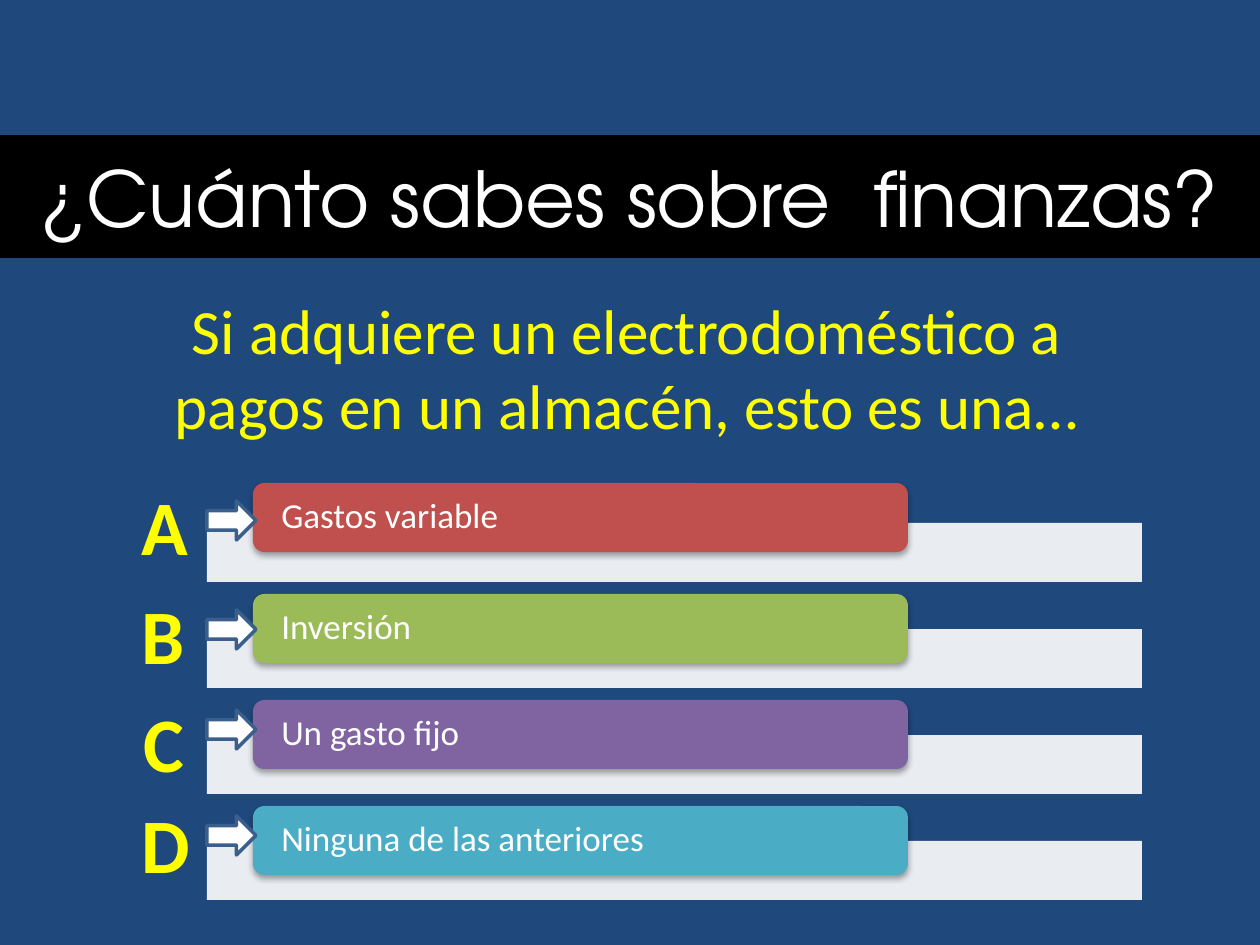
from lxml import etree
from pptx import Presentation
from pptx.dml.color import RGBColor
from pptx.enum.shapes import MSO_SHAPE
from pptx.enum.text import MSO_ANCHOR, PP_ALIGN
from pptx.oxml import parse_xml
from pptx.oxml.ns import nsdecls, qn
from pptx.util import Emu, Pt

RECT, ROUNDED, ARROW = MSO_SHAPE.RECTANGLE, MSO_SHAPE.ROUNDED_RECTANGLE, MSO_SHAPE.RIGHT_ARROW
LEFT, CENTER = PP_ALIGN.LEFT, PP_ALIGN.CENTER
MIDDLE = MSO_ANCHOR.MIDDLE
EMU_PER_PX = 914400 / 126
YELLOW, WHITE, BLACK = "FFFF00", "FFFFFF", "000000"

SHADOW = (
    f'<a:effectLst {nsdecls("a")}>'
    '<a:outerShdw blurRad="40000" dist="23000" dir="5400000" rotWithShape="0">'
    '<a:srgbClr val="000000"><a:alpha val="35000"/></a:srgbClr>'
    "</a:outerShdw></a:effectLst>"
)

deck = Presentation()
deck.slide_width, deck.slide_height = (Emu(round(n * EMU_PER_PX)) for n in (1260, 945))
page = deck.slides.add_slide(deck.slide_layouts[6])
page.background.fill.solid()
page.background.fill.fore_color.rgb = RGBColor.from_string("1F497D")


def add_box(area, kind=None, fill=None, line=None):
    """Add a preset shape, or a text box when kind is None; area is in px."""
    place = [Emu(round(n * EMU_PER_PX)) for n in area]
    if kind is None:
        box = page.shapes.add_textbox(*place)
    else:
        box = page.shapes.add_shape(kind, *place)
        box.shadow.inherit = False
        box.fill.solid()
        box.fill.fore_color.rgb = RGBColor.from_string(fill)
        if line:
            box.line.color.rgb = RGBColor.from_string(line)
            box.line.width = Pt(2)
        else:
            box.line.fill.background()
    box.text_frame.word_wrap = True
    return box


def write(box, text, size, color, font="Calibri", align=CENTER, bold=False):
    para = box.text_frame.paragraphs[0]
    para.alignment = align
    span = para.add_run()
    span.text = text
    span.font.name = font
    span.font.size = Pt(size)
    span.font.bold = bold
    span.font.color.rgb = RGBColor.from_string(color)
    return para


banner = add_box((0, 137, 1260, 119), RECT, BLACK, BLACK)
banner.text_frame.vertical_anchor = MIDDLE
write(banner, "¿Cuánto sabes sobre  finanzas?", 44, WHITE, "TeX Gyre Adventor")

question = add_box((151, 285, 951, 165))
write(question, "Si adquiere un electrodoméstico a pagos en un almacén, esto es una…", 36, YELLOW)

# letter, answer, colour, then the tops of the answer, letter and arrow
answers = [
    ("A", "Gastos variable", "C0504D", 483, 472, 501),
    ("B", "Inversión", "9BBB59", 594, 581, 610),
    ("C", "Un gasto fijo", "8064A2", 700, 689, 710),
    ("D", "Ninguna de las anteriores", "4BACC6", 806, 790, 816),
]
for row, (letter, answer, color, answer_top, letter_top, arrow_top) in enumerate(answers):
    strip = add_box((207, 523 + 106 * row, 935, 59), RECT, WHITE)
    strip_color = strip.fill._xPr.find(qn("a:solidFill"))[0]
    etree.SubElement(strip_color, qn("a:alpha"), val="90000")

    option = add_box((253, answer_top, 655, 69), ROUNDED, color)
    properties = option._element.spPr
    properties.replace(properties.find(qn("a:effectLst")), parse_xml(SHADOW))
    frame = option.text_frame
    frame.vertical_anchor = MIDDLE
    frame.margin_left = frame.margin_right = Emu(round(25 * EMU_PER_PX))
    frame.margin_top = frame.margin_bottom = 0
    para = write(option, answer, 20, WHITE, align=LEFT)
    para.line_spacing = 0.9

    write(add_box((129, letter_top, 69, 106)), letter, 44, YELLOW, bold=True)
    add_box((207, arrow_top, 49, 39), ARROW, WHITE, "3A5F8C")

deck.save("out.pptx")
